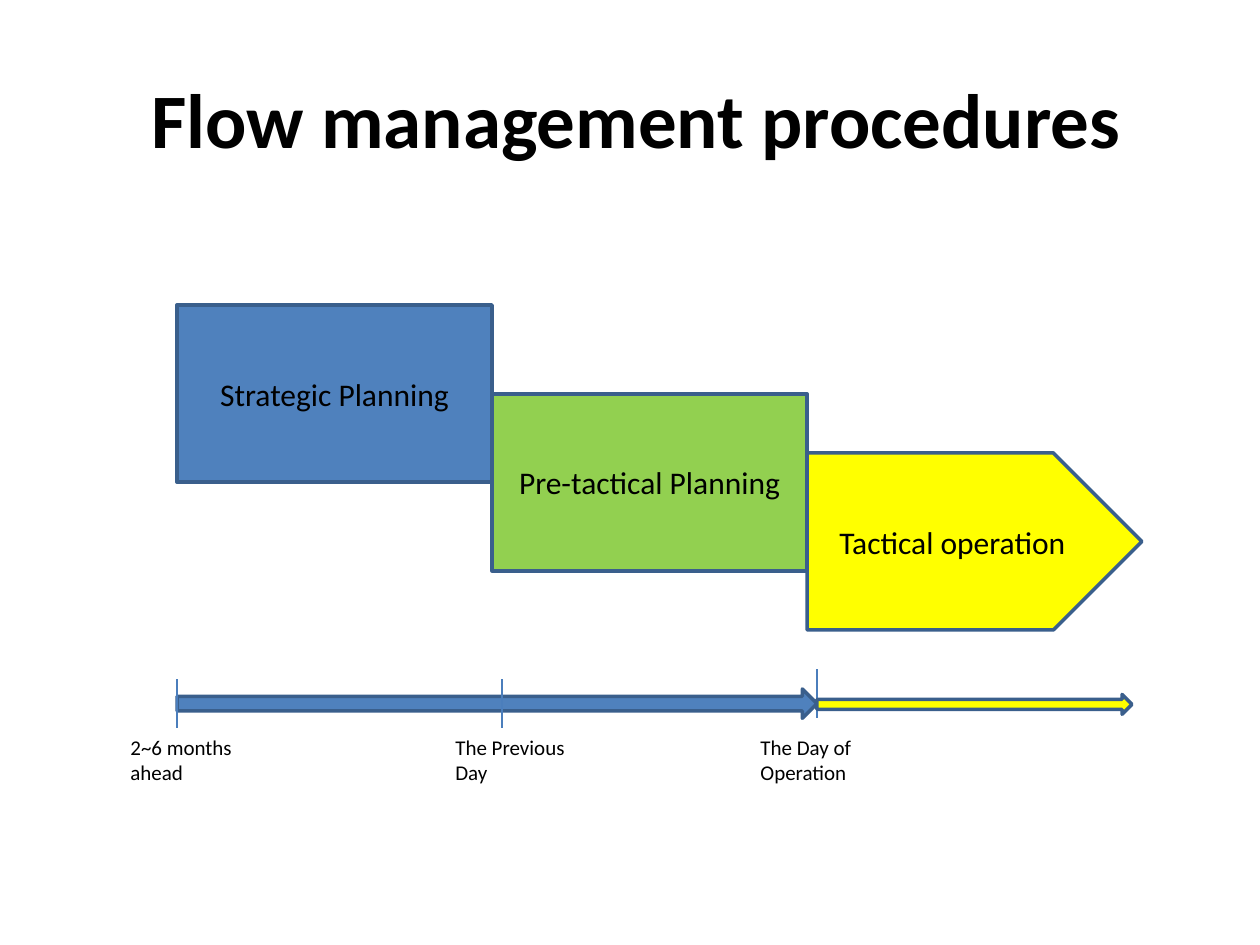
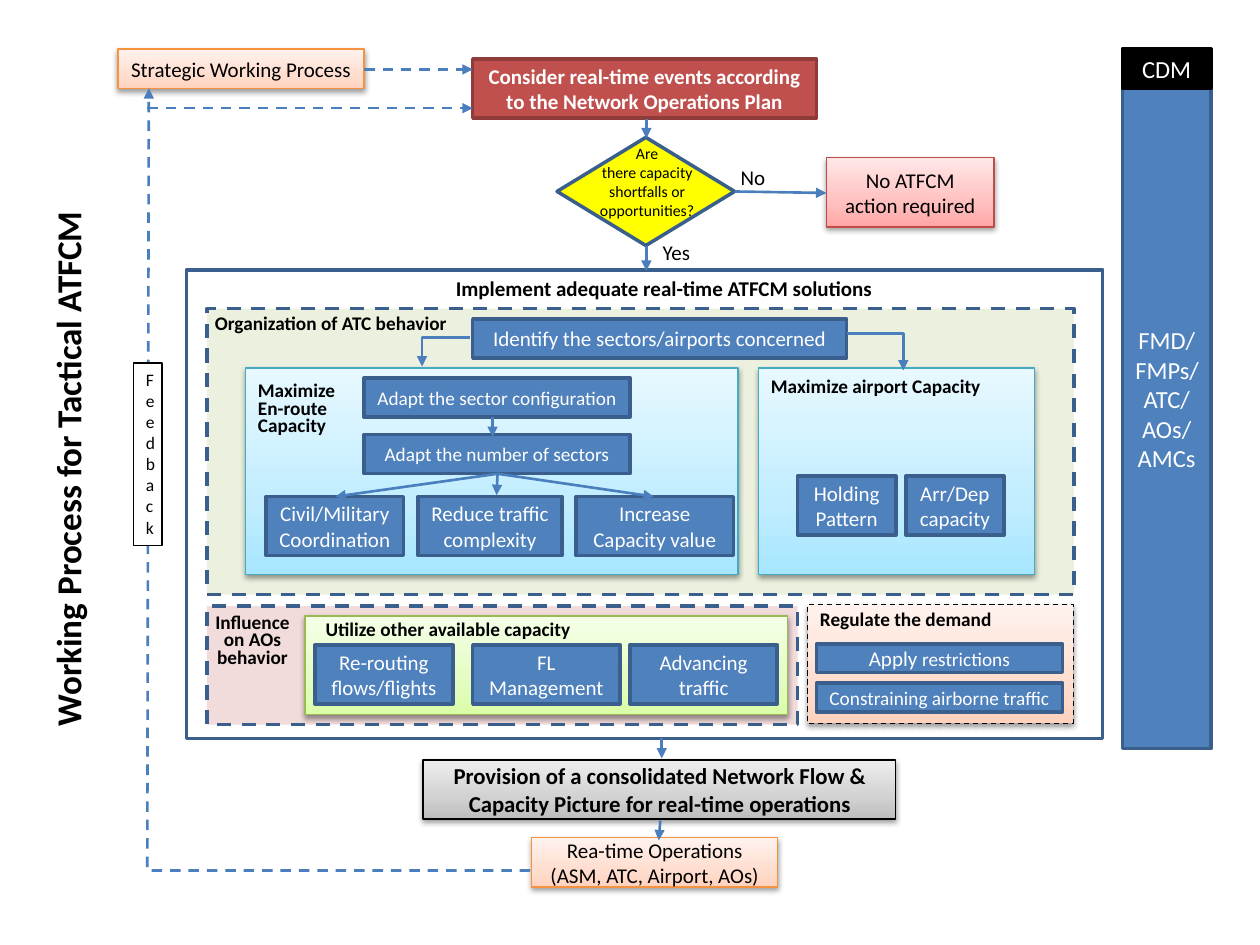
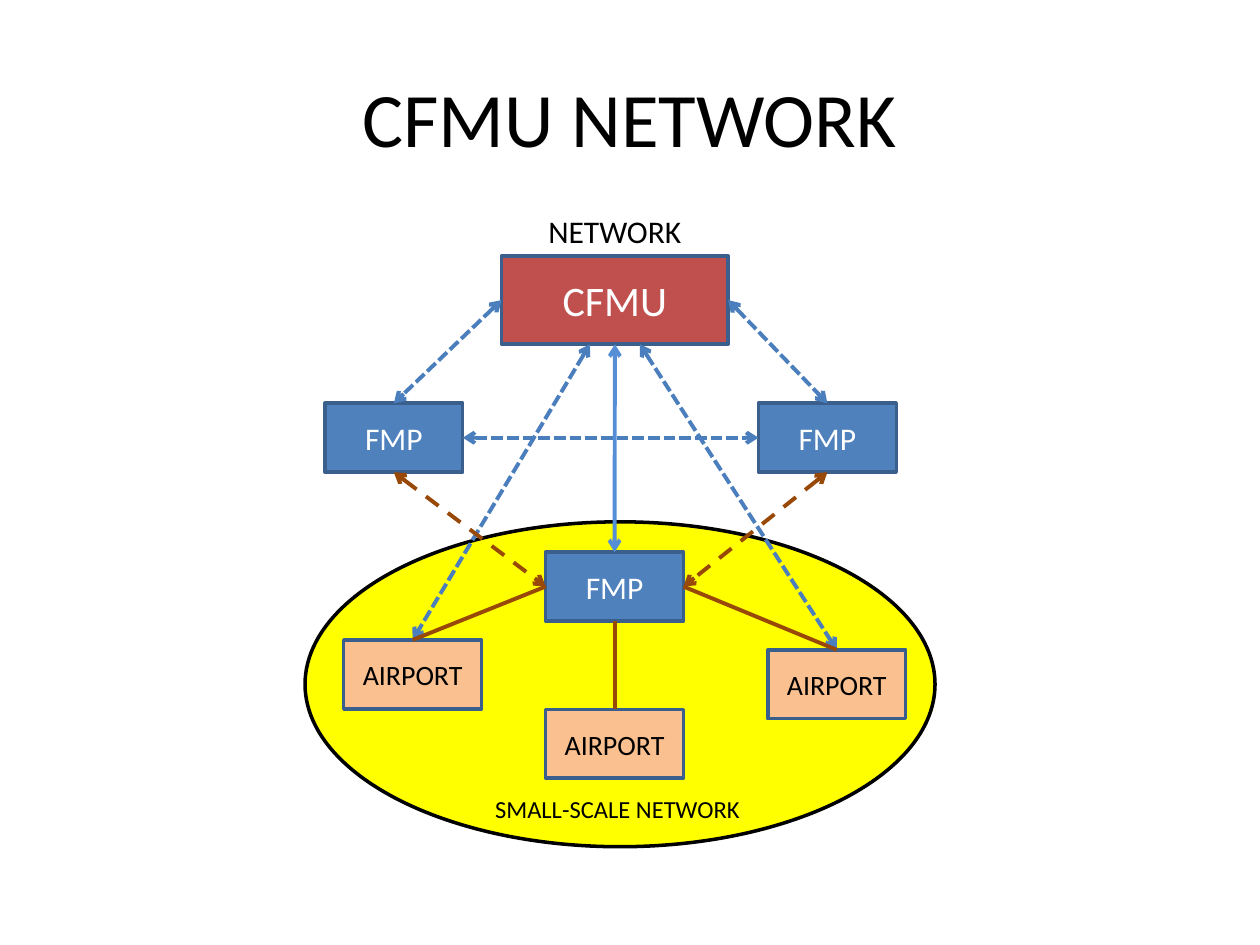
from copy import deepcopy
from dataclasses import dataclass

from lxml.etree import SubElement
from pptx import Presentation
from pptx.dml.color import RGBColor
from pptx.enum.dml import MSO_LINE_DASH_STYLE as Dash
from pptx.enum.shapes import MSO_CONNECTOR as Connector, MSO_SHAPE as Shape
from pptx.enum.text import MSO_ANCHOR as Anchor, PP_ALIGN as Align
from pptx.oxml.ns import qn
from pptx.util import Cm, Pt


@dataclass(frozen=True)
class Theme:
    font: str = "Calibri"
    black: str = "000000"
    white: str = "FFFFFF"
    blue: str = "4F81BD"
    outline: str = "3A5F8C"
    link: str = "4B7EBC"
    bright_link: str = "558ED5"
    brown: str = "984807"
    red: str = "C0504D"
    dark_red: str = "8E3B39"
    green: str = "92D050"
    yellow: str = "FFFF00"
    peach: str = "FAC090"
    rose: str = "F2DCDB"
    olive: str = "EBF1DE"
    orange_line: str = "F69240"
    aqua_line: str = "46AAC5"
    lime_line: str = "98B955"
    pink_line: str = "BF4C48"
    # Gradients run from the bottom edge to the top edge.
    aqua: tuple = ("A7E6FF", "C1EDFF", "E7F8FF")
    grey: tuple = ("BDBDBD", "D1D1D1", "EEEEEE")
    orange: tuple = ("FFD2BD", "FFDED0", "FFF2ED")
    lime: tuple = ("DAFDA7", "E4FCC2", "F5FFE7")
    pink: tuple = ("FFA6A5", "FFC0BF", "FFE7E7")
    gradient_stops: tuple = (0, 0.35, 1)
    title: int = 44
    side_title: int = 20
    hub: int = 24
    stage: int = 18
    airport: int = 16
    column: int = 14
    summary: int = 13
    body: int = 12
    label: int = 11
    feedback: int = 10
    question: int = 9
    tight: int = 10
    thin: float = 0.75
    arrow: float = 1.5
    edge: float = 2
    network: float = 2.25


THEME = Theme()


def write(box, text, size=THEME.body, color=THEME.black, bold=False,
          align=Align.LEFT, anchor=Anchor.TOP, spacing=None):
    """Fill a box, one paragraph a line; a list holds (text, size) spans."""
    frame = box.text_frame
    frame.word_wrap = True
    frame.vertical_anchor = anchor
    lines = text.split("\n") if isinstance(text, str) else [text]
    for index, line in enumerate(lines):
        para = frame.add_paragraph() if index else frame.paragraphs[0]
        para.alignment = align
        if spacing:
            para.line_spacing = Pt(spacing)
        for words, points in [(line, size)] if isinstance(line, str) else line:
            span = para.add_run()
            span.text = words
            span.font.name = THEME.font
            span.font.size = Pt(points)
            span.font.bold = bold
            span.font.color.rgb = RGBColor.from_string(color)


def point_on(shape, across, down):
    """Point in cm at the given fractions of a shape's width and height."""
    return (shape.left.cm + across * shape.width.cm,
            shape.top.cm + down * shape.height.cm)


class Sketch:
    def __init__(self, deck, theme):
        self.deck = deck
        self.theme = theme
        self.page = None

    def new_page(self):
        self.page = self.deck.slides.add_slide(self.deck.slide_layouts[6])

    def text(self, area, text, vertical=False, **style):
        box = self.page.shapes.add_textbox(*map(Cm, area))
        write(box, text, **style)
        if vertical:
            box.text_frame._txBody.bodyPr.set("vert", "vert270")
        return box

    def title(self, left, top, text, bold=False):
        self.text((left, top, 22.86, 3.18), text, size=self.theme.title,
                  bold=bold, align=Align.CENTER, anchor=Anchor.MIDDLE)

    def box(self, area, text="", fill=THEME.blue, line=THEME.outline,
            width=THEME.edge, dash=None, form=Shape.RECTANGLE, **style):
        shape = self.page.shapes.add_shape(form, *map(Cm, area))
        shape.shadow.inherit = False
        if fill is None:
            shape.fill.background()
        elif isinstance(fill, tuple):
            self.shade(shape, fill)
        else:
            shape.fill.solid()
            shape.fill.fore_color.rgb = RGBColor.from_string(fill)
        self.stroke(shape, line, width, dash)
        if text:
            write(shape, text, **{"color": self.theme.white, "align": Align.CENTER,
                                  "anchor": Anchor.MIDDLE, **style})
        return shape

    def card(self, area, text="", line=THEME.black, **options):
        """Gradient box with a thin line, a soft shadow and black text."""
        shape = self.box(area, text, line=line, width=self.theme.thin,
                         **{"color": self.theme.black, **options})
        effects = shape.element.spPr.find(qn("a:effectLst"))
        shadow = SubElement(effects, qn("a:outerShdw"), blurRad="40000",
                            dist="20000", dir="5400000", rotWithShape="0")
        tone = SubElement(shadow, qn("a:srgbClr"), val=self.theme.black)
        SubElement(tone, qn("a:alpha"), val="38000")
        return shape

    def shade(self, shape, colors):
        shape.fill.gradient()
        shape.fill.gradient_angle = 90
        stops = shape.element.spPr.find(qn("a:gradFill")).find(qn("a:gsLst"))
        stops.insert(1, deepcopy(stops[0]))
        for stop, color, position in zip(shape.fill.gradient_stops, colors,
                                         self.theme.gradient_stops):
            stop.color.rgb = RGBColor.from_string(color)
            stop.position = position

    def stroke(self, shape, color, width, dash=None, head=None, tail=None):
        shape.line.color.rgb = RGBColor.from_string(color)
        shape.line.width = Pt(width)
        if dash:
            shape.line.dash_style = dash
        outline = shape.element.spPr.find(qn("a:ln"))
        for tag, kind in (("a:headEnd", head), ("a:tailEnd", tail)):
            if kind:
                SubElement(outline, qn(tag), type=kind)

    def line(self, start, end, color=THEME.link, width=THEME.thin, **style):
        link = self.page.shapes.add_connector(
            Connector.STRAIGHT, *map(Cm, (*start, *end)))
        SubElement(link.element.spPr, qn("a:effectLst"))
        self.stroke(link, color, width, **style)

    def arrow(self, start, end, dash=None):
        self.line(start, end, width=self.theme.arrow, dash=dash, tail="triangle")

    def bent_arrow(self, points, dash=None):
        start, *rest = [(Cm(x), Cm(y)) for x, y in points]
        builder = self.page.shapes.build_freeform(*start)
        builder.add_line_segments(rest, close=False)
        route = builder.convert_to_shape()
        route.shadow.inherit = False
        route.fill.background()
        self.stroke(route, self.theme.link, self.theme.arrow, dash, tail="triangle")


def procedures_page(sketch):
    theme = sketch.theme
    sketch.new_page()
    sketch.title(1.4, 0.79, "Flow management procedures", bold=True)

    start, stage_width = 3.57, 6.35
    sketch.box((start, 13.89, 12.9, 0.59), form=Shape.RIGHT_ARROW)
    stages = [
        ("Strategic Planning", 6.15, stage_width, theme.blue, Shape.RECTANGLE),
        ("Pre-tactical Planning", 7.94, stage_width, theme.green, Shape.RECTANGLE),
        ("Tactical operation", 9.13, 6.75, theme.yellow, Shape.PENTAGON),
    ]
    for index, (name, top, width, fill, form) in enumerate(stages):
        sketch.box((start + index * stage_width, top, width, 3.57), name, fill=fill,
                   form=form, size=theme.stage, color=theme.black)

    milestones = [
        ("2~6 months ahead", start, 13.69, 2.38, 2.78),
        ("The Previous Day", 10.12, 13.69, 8.93, 2.78),
        ("The Day of Operation", 16.47, 13.49, 15.08, 3.18),
    ]
    for name, tick, top, left, width in milestones:
        sketch.line((tick, top), (tick, top + 0.99))
        sketch.text((left, 14.68, width, 1.27), name)
    sketch.box((16.47, 14, stage_width, 0.4), fill=theme.yellow,
               form=Shape.RIGHT_ARROW)


def draw_solutions(sketch):
    """Nested panels of the tactical solutions, with their actions."""
    theme = sketch.theme
    sketch.box((4.17, 12.22, 11.91, 2.39), fill=theme.rose, dash=Dash.DASH)
    sketch.box((4.17, 6.22, 17.48, 5.77), fill=theme.olive, dash=Dash.DASH)
    sketch.box((3.76, 5.44, 18.47, 9.45), fill=None)
    for area, fill, line, dash in [
        ((4.95, 7.42, 9.93, 4.17), theme.aqua, theme.aqua_line, None),
        ((15.29, 7.42, 5.56, 4.17), theme.aqua, theme.aqua_line, None),
        ((6.15, 12.42, 9.73, 1.98), theme.lime, theme.lime_line, None),
        ((16.28, 12.19, 5.36, 2.39), theme.orange, theme.black, Dash.DASH),
    ]:
        sketch.card(area, fill=fill, line=line, dash=dash)

    sketch.text((8.94, 5.44, 9.53, 0.76),
                "Implement adequate real-time ATFCM solutions", bold=True)
    for area, heading, align, spacing in [
        ((3.99, 6.15, 5.36, 0.74), "Organization of ATC behavior", Align.CENTER, None),
        ((6.15, 12.32, 5.77, 0.74), "Utilize other available capacity",
         Align.CENTER, None),
        ((3.96, 12.29, 2.26, 1.35), "Influence on AOs behavior",
         Align.CENTER, theme.tight),
        ((4.95, 7.62, 2.59, 1.35), "Maximize En-route Capacity",
         Align.LEFT, theme.tight),
        ((15.29, 7.54, 5.16, 0.64), "Maximize airport Capacity",
         Align.LEFT, theme.tight),
        ((16.28, 12.24, 4.78, 0.61), "Regulate the demand", Align.LEFT, theme.tight),
    ]:
        sketch.text(area, heading, size=theme.label, bold=True, align=align,
                    spacing=spacing)

    sketch.box((9.53, 6.43, 7.54, 0.79), "Identify the sectors/airports concerned")
    for top, action in [(7.62, "Adapt the sector configuration"),
                        (8.76, "Adapt the number of sectors")]:
        sketch.box((7.34, top, 5.36, 0.79), action, size=theme.label)
    for top, actions in [
        (10.01, [(5.36, 2.78, "Civil/Military Coordination"),
                 (8.43, 2.9, "Reduce traffic complexity"),
                 (11.61, 3.18, "Increase Capacity value")]),
        (9.6, [(16.08, 1.98, "Holding Pattern"),
               (18.26, 1.98, "Arr/Dep\ncapacity")]),
        (13, [(6.35, 2.78, "Re-routing flows/flights"),
              (9.53, 2.97, "FL\nManagement"),
              (12.7, 2.97, "Advancing traffic")]),
    ]:
        for left, width, action in actions:
            sketch.box((left, top, width, 1.19), action)
    for top, action in [
        (12.98, [("Apply ", theme.body), ("restrictions", theme.label)]),
        (13.77, [("Constraining airborne traffic", theme.label)]),
    ]:
        sketch.box((16.46, top, 4.96, 0.58), action)


def tactical_page(sketch):
    theme = sketch.theme
    sketch.new_page()
    draw_solutions(sketch)

    sketch.box((9.53, 1.19, 6.93, 1.19),
               "Consider real-time events according to the Network Operations Plan",
               fill=theme.red, line=theme.dark_red, bold=True)
    sketch.card((8.53, 15.32, 9.53, 1.19),
                "Provision of a consolidated Network Flow & Capacity Picture "
                "for real-time operations",
                fill=theme.grey, size=theme.summary, bold=True)
    sketch.card((10.72, 16.89, 4.96, 0.99),
                "Rea-time Operations (ASM, ATC, Airport, AOs)",
                fill=theme.orange, line=theme.orange_line)
    sketch.card((2.38, 0.99, 4.96, 0.79), "Strategic Working Process",
                fill=theme.orange, line=theme.orange_line)
    sketch.card((16.66, 3.18, 3.38, 1.4), "No ATFCM action required",
                fill=theme.pink, line=theme.pink_line)
    sketch.box((11.23, 2.77, 3.58, 2.18), fill=theme.yellow,
               form=Shape.FLOWCHART_DECISION)
    sketch.text((11.66, 2.77, 2.77, 1.8),
                "Are\nthere capacity shortfalls or opportunities?",
                size=theme.question, align=Align.CENTER)

    fan = (10.03, 9.55)
    for start, end in [
        ((9.93, 8.41), (9.93, 8.81)),
        (fan, (6.76, 10.01)),
        (fan, (10.01, 9.98)),
        (fan, (13.18, 10.01)),
        ((13.34, 14.88), (13.34, 15.29)),
        ((13.31, 16.54), (13.28, 16.94)),
        ((14.81, 3.86), (16.66, 3.89)),
        ((13.03, 2.39), (13.03, 2.79)),
        ((13.03, 4.95), (13.03, 5.46)),
    ]:
        sketch.arrow(start, end)
    sketch.bent_arrow([(9.47, 6.81), (8.51, 6.81), (8.51, 7.39)])
    sketch.bent_arrow([(17.07, 6.73), (18.21, 6.73), (18.21, 7.47)])
    sketch.bent_arrow([(10.69, 17.55), (2.97, 17.55), (3, 1.78)], dash=Dash.DASH)
    for left, height in [(7.34, 1.4), (2.97, 2.18)]:
        sketch.arrow((left, height), (9.53, height), dash=Dash.DASH)

    sketch.box((2.69, 7.32, 0.58, 3.68), "Feedback", fill=theme.white,
               line=theme.black, width=theme.thin, size=theme.feedback,
               color=theme.black, align=Align.LEFT, anchor=Anchor.TOP)
    sketch.box((22.63, 0.99, 1.78, 14.1), "FMD/FMPs/ATC/ AOs/\nAMCs",
               size=theme.column)
    sketch.box((22.63, 0.99, 1.78, 0.79), "CDM", fill=theme.black,
               line=theme.black, size=theme.column)
    sketch.text((0.81, 3.76, 1.37, 11.13), "Working Process for Tactical ATFCM",
                vertical=True, size=theme.side_title, bold=True)
    sketch.text((14.68, 3.2, 1.19, 0.76), "No")
    sketch.text((13.11, 4.7, 1.19, 0.76), "Yes")


def network_page(sketch):
    theme = sketch.theme
    sketch.new_page()
    sketch.box((6.15, 10.52, 12.7, 6.55), fill=theme.yellow, line=theme.black,
               form=Shape.OVAL)
    sketch.title(1.27, 0.76, "CFMU NETWORK")

    def node(left, top, text, **style):
        return sketch.box((left, top, 2.78, 1.39), text, **style)

    hub = sketch.box((10.11, 5.16, 4.57, 1.78), "CFMU", fill=theme.red,
                     size=theme.hub)
    west, east, local = [node(left, top, "FMP", size=theme.stage) for left, top in
                         [(6.55, 8.13), (15.29, 8.13), (11, 11.13)]]
    airports = [node(left, top, "AIRPORT", fill=theme.peach, size=theme.airport,
                     color=theme.black) for left, top in
                [(6.93, 12.9), (11, 14.3), (15.48, 13.1)]]

    left, right, top, bottom = (0, 0.5), (1, 0.5), (0.5, 0), (0.5, 1)
    both = {"head": "arrow", "tail": "arrow"}
    dotted = {"color": theme.link, "dash": Dash.SQUARE_DOT, **both}
    dashed = {"color": theme.brown, "dash": Dash.DASH, **both}
    plain = {"color": theme.brown}
    for source, leave, target, arrive, style in [
        (west, right, east, left, dotted),
        (hub, left, west, top, dotted),
        (hub, right, east, top, dotted),
        (hub, (0.39, 1), airports[0], top, dotted),
        (hub, (0.61, 1), airports[2], top, dotted),
        (hub, bottom, local, top, {"color": theme.bright_link, **both}),
        (west, bottom, local, left, dashed),
        (east, bottom, local, right, dashed),
        (local, left, airports[0], top, plain),
        (local, bottom, airports[1], top, plain),
        (local, right, airports[2], top, plain),
    ]:
        sketch.line(point_on(source, *leave), point_on(target, *arrive),
                    width=theme.network, **style)

    sketch.text((10.11, 4.14, 4.57, 1.02), "NETWORK", size=theme.stage,
                align=Align.CENTER)
    sketch.text((9.73, 15.88, 5.56, 0.86), "SMALL-SCALE NETWORK", size=theme.column)


def main():
    deck = Presentation()
    deck.slide_width, deck.slide_height = Cm(25.4), Cm(19.05)
    sketch = Sketch(deck, THEME)
    for draw in (procedures_page, tactical_page, network_page):
        draw(sketch)
    deck.save("out.pptx")


if __name__ == "__main__":
    main()
